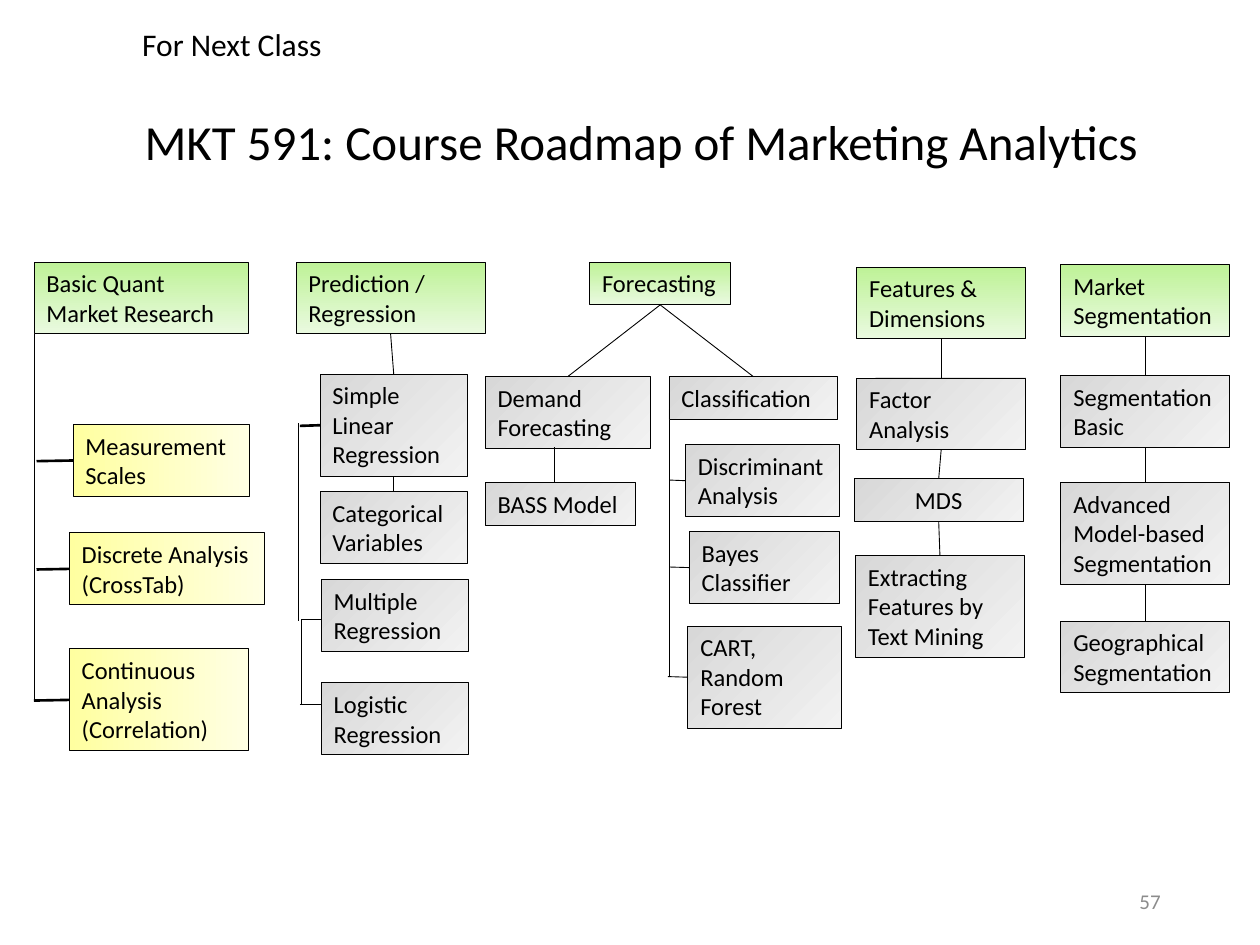
from lxml.etree import SubElement
from pptx import Presentation
from pptx.dml.color import RGBColor
from pptx.enum.shapes import MSO_CONNECTOR, MSO_SHAPE
from pptx.enum.text import MSO_ANCHOR, MSO_AUTO_SIZE, PP_ALIGN
from pptx.oxml.ns import qn
from pptx.util import Inches, Pt

TOP, LEFT, BOTTOM = 0, 1, 2
ONE_LINE, TWO_LINES, THREE_LINES = 0.34, 0.57, 0.81
THIN, THICK = 0.5, 1.5
GREEN = ("BEF297", "EAFAE0", 270)
YELLOW = ("FFFFA0", "FFFFE3", 0)
GRAY = ("D8D8D8", "F2F2F2", 315)

BOXES = [
    ("Basic Quant Market Research", GREEN, 0.27, 2.08, 1.7, TWO_LINES),
    ("Measurement Scales", YELLOW, 0.58, 3.37, 1.4, TWO_LINES),
    ("Discrete Analysis (CrossTab)", YELLOW, 0.55, 4.23, 1.55, TWO_LINES),
    ("Continuous Analysis (Correlation)", YELLOW, 0.55, 5.15, 1.42, THREE_LINES),
    ("Prediction / Regression", GREEN, 2.35, 2.08, 1.5, TWO_LINES),
    ("Simple Linear Regression", GRAY, 2.54, 2.97, 1.17, THREE_LINES),
    ("Categorical Variables", GRAY, 2.54, 3.9, 1.17, TWO_LINES),
    ("Multiple Regression", GRAY, 2.55, 4.6, 1.17, TWO_LINES),
    ("Logistic Regression", GRAY, 2.55, 5.42, 1.17, TWO_LINES),
    ("Forecasting", GREEN, 4.68, 2.08, 1.12, ONE_LINE),
    ("Demand Forecasting", GRAY, 3.85, 2.99, 1.31, TWO_LINES),
    ("BASS Model", GRAY, 3.85, 3.83, 1.19, ONE_LINE),
    ("Classification", GRAY, 5.31, 2.99, 1.34, ONE_LINE),
    ("Discriminant Analysis", GRAY, 5.44, 3.53, 1.22, TWO_LINES),
    ("Bayes Classifier", GRAY, 5.47, 4.22, 1.19, TWO_LINES),
    ("CART, Random Forest", GRAY, 5.46, 4.97, 1.22, THREE_LINES),
    ("Features & Dimensions", GREEN, 6.8, 2.12, 1.34, TWO_LINES),
    ("Factor Analysis", GRAY, 6.8, 3, 1.34, TWO_LINES),
    ("MDS", GRAY, 6.78, 3.8, 1.34, ONE_LINE),
    ("Extracting Features by Text Mining", GRAY, 6.79, 4.41, 1.34, THREE_LINES),
    ("Market Segmentation", GREEN, 8.42, 2.1, 1.34, TWO_LINES),
    ("Segmentation Basic", GRAY, 8.42, 2.98, 1.34, TWO_LINES),
    ("Advanced Model-based Segmentation", GRAY, 8.42, 3.83, 1.34, THREE_LINES),
    ("Geographical Segmentation", GRAY, 8.42, 4.93, 1.34, TWO_LINES),
]

CHAINS = [
    ("Prediction / Regression", "Simple Linear Regression", "Categorical Variables"),
    ("Forecasting", "Demand Forecasting"),
    ("Forecasting", "Classification"),
    ("Features & Dimensions", "Factor Analysis", "MDS",
     "Extracting Features by Text Mining"),
    ("Market Segmentation", "Segmentation Basic",
     "Advanced Model-based Segmentation", "Geographical Segmentation"),
]

BRANCHES = [
    ("Measurement Scales", 0.29, 3.66, THICK),
    ("Discrete Analysis (CrossTab)", 0.29, 4.52, THICK),
    ("Continuous Analysis (Correlation)", 0.27, 5.56, THICK),
    ("Simple Linear Regression", 2.38, 3.38, THICK),
    ("Discriminant Analysis", 5.31, 3.81, THIN),
    ("Bayes Classifier", 5.31, 4.5, THIN),
    ("CART, Random Forest", 5.3, 5.37, THIN),
]

FREE_LINES = [
    ((0.27, 2.65), (0.27, 5.55)),
    ((2.37, 3.36), (2.37, 4.93)),
    ((2.39, 4.92), (2.55, 4.92)),
    ((2.39, 4.92), (2.39, 5.59)),
    ((2.38, 5.59), (2.55, 5.59)),
    ((4.4, 3.55), (4.4, 3.83)),
    ((5.31, 3.33), (5.31, 5.37)),
]


def color(code):
    """Turn a hex string into a colour."""
    return RGBColor.from_string(code)


class Roadmap:
    """Holds the style, the current slide and its boxes by wording."""

    font = "Calibri"
    ink = "000000"

    def __init__(self, page):
        """Start drawing on a page."""
        self.page = page
        self.boxes = {}

    def add_words(self, frame, words, size, align=PP_ALIGN.LEFT, ink=ink):
        """Put one styled run in a text frame and return its paragraph."""
        para = frame.paragraphs[0]
        para.alignment = align
        span = para.add_run()
        span.text = words
        span.font.name = self.font
        span.font.size = Pt(size)
        span.font.color.rgb = color(ink)
        return para

    def label(self, words, place, size, wrap=True, anchor=MSO_ANCHOR.MIDDLE, **style):
        """Add a text box and return its paragraph."""
        frame = self.page.shapes.add_textbox(*map(Inches, place)).text_frame
        frame.word_wrap = wrap
        frame.vertical_anchor = anchor
        return self.add_words(frame, words, size, **style)

    def box(self, words, shade, *place, align=PP_ALIGN.LEFT):
        """Add a gradient rectangle with text."""
        box = self.page.shapes.add_shape(MSO_SHAPE.RECTANGLE, *map(Inches, place))
        box.shadow.inherit = False
        first, last, angle = shade
        box.fill.gradient()
        box.fill.gradient_angle = angle
        for stop, code, position in zip(box.fill.gradient_stops, (first, last), (0, 1)):
            stop.color.rgb = color(code)
            stop.position = position
        box.line.color.rgb = color(self.ink)
        box.line.width = Pt(THIN)
        frame = box.text_frame
        frame.word_wrap = True
        frame.auto_size = MSO_AUTO_SIZE.SHAPE_TO_FIT_TEXT
        frame.vertical_anchor = MSO_ANCHOR.TOP
        self.add_words(frame, words, 14, align)
        self.boxes[words] = box

    def line(self, start=(0, 0), end=(0, 0), width=THIN):
        """Add a straight line between two points."""
        line = self.page.shapes.add_connector(
            MSO_CONNECTOR.STRAIGHT, *map(Inches, start + end))
        line.line.color.rgb = color(self.ink)
        line.line.width = Pt(width)
        SubElement(line._element.spPr, qn("a:effectLst"))
        return line

    def chain(self, names):
        """Join boxes from bottom to top, one after another."""
        for upper, lower in zip(names, names[1:]):
            line = self.line()
            line.begin_connect(self.boxes[upper], BOTTOM)
            line.end_connect(self.boxes[lower], TOP)

    def branch(self, name, x, y, width):
        """Join a point on a trunk to the left side of a box."""
        self.line((x, y), (x, y), width).end_connect(self.boxes[name], LEFT)


def main():
    """Build and save the roadmap."""
    deck = Presentation()
    deck.slide_width, deck.slide_height = Inches(10), Inches(7.5)
    roadmap = Roadmap(deck.slides.add_slide(deck.slide_layouts[6]))
    title = roadmap.label("MKT 591: Course Roadmap of Marketing Analytics",
                          (1.05, 0.72, 8.37, 0.86), 28)
    title.line_spacing = 0.9
    roadmap.label("57", (7.06, 6.95, 2.25, 0.4), 12, align=PP_ALIGN.RIGHT, ink="8C8C8C")
    roadmap.label("For Next Class", (1.03, 0.15, 1.78, 0.4), 18,
                  wrap=False, anchor=MSO_ANCHOR.TOP)
    for words, *look in BOXES:
        align = PP_ALIGN.CENTER if words == "MDS" else PP_ALIGN.LEFT
        roadmap.box(words, *look, align=align)
    for names in CHAINS:
        roadmap.chain(names)
    for branch in BRANCHES:
        roadmap.branch(*branch)
    for start, end in FREE_LINES:
        roadmap.line(start, end)
    deck.save("out.pptx")


if __name__ == "__main__":
    main()
